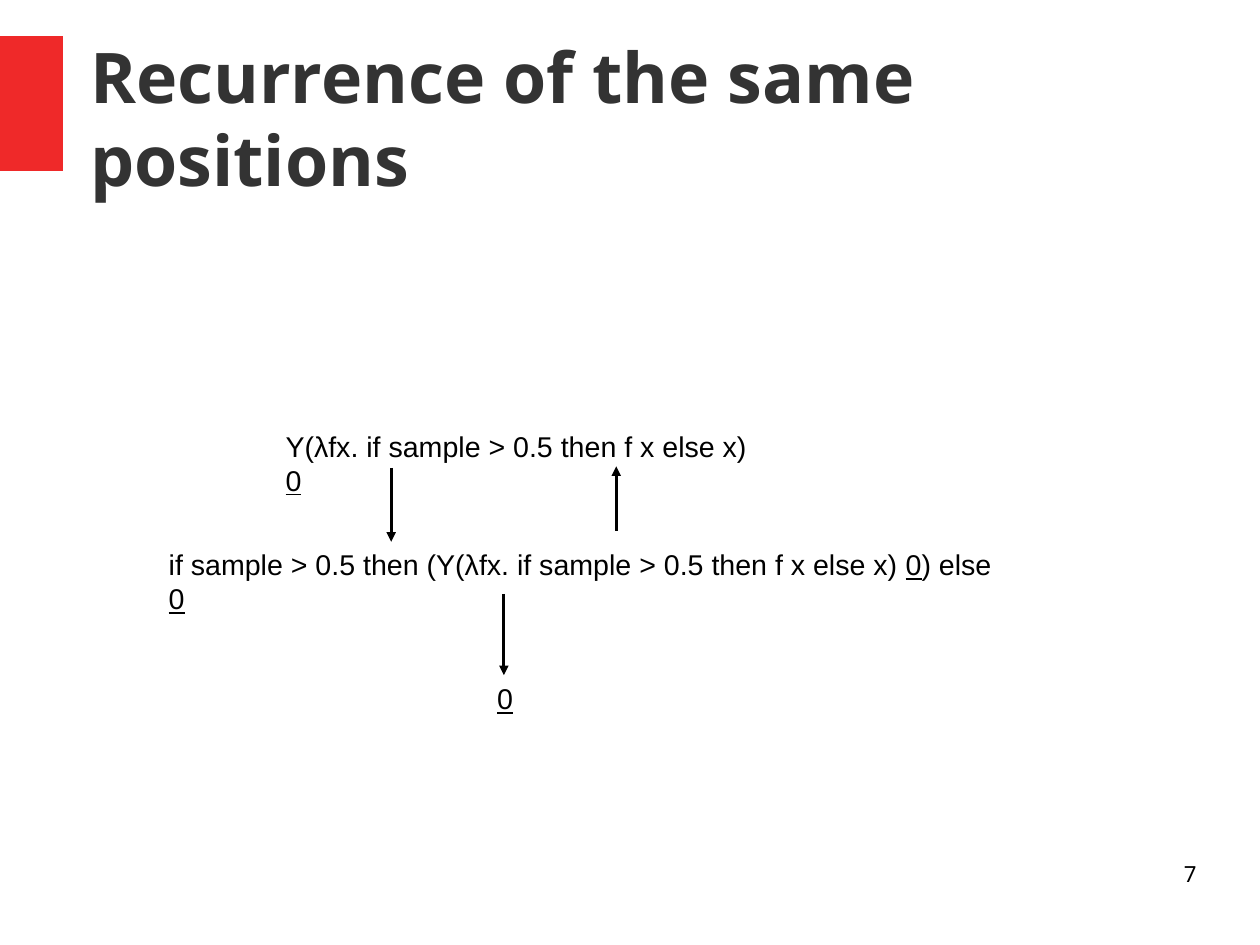
from lxml.etree import SubElement
from pptx import Presentation
from pptx.dml.color import RGBColor
from pptx.enum.shapes import MSO_CONNECTOR as Connector, MSO_SHAPE as Preset
from pptx.enum.text import MSO_ANCHOR as Anchor, MSO_AUTO_SIZE as AutoSize, PP_ALIGN as Align
from pptx.oxml.ns import qn
from pptx.util import Pt

BLACK = "000000"
BODY = "Y(λfx. if sample > 0.5 then f x else x) "


def color(value):
    return RGBColor.from_string(value)


def set_margins(frame, horizontal, vertical):
    frame.margin_left = frame.margin_right = Pt(horizontal)
    frame.margin_top = frame.margin_bottom = Pt(vertical)


def add_run(paragraph, text, size, name, fill=BLACK, bold=False, underline=False):
    run = paragraph.add_run()
    run.text = text
    font = run.font
    font.size, font.name, font.bold = Pt(size), name, bold
    font.underline = underline
    font.color.rgb = color(fill)


def format_title(title, text):
    title.left, title.top, title.width, title.height = Pt(56.7), Pt(13.7), Pt(697), Pt(120)
    frame = title.text_frame
    set_margins(frame, 0, 0)
    frame.word_wrap = True
    frame.auto_size = AutoSize.NONE
    frame.vertical_anchor = Anchor.MIDDLE
    paragraph = frame.paragraphs[0]
    paragraph.alignment = Align.LEFT
    add_run(paragraph, text, 44, "Noto Sans", "333333", bold=True)


def add_accent_bar(slide):
    bar = slide.shapes.add_shape(Preset.RECTANGLE, 0, Pt(22.7), Pt(39.7), Pt(85))
    bar.shadow.inherit = False
    bar.fill.solid()
    bar.fill.fore_color.rgb = color("EF2929")
    bar.line.fill.background()


def add_term(slide, left, top, width, parts):
    """Add a one-line term; every second part is an underlined numeral."""
    box = slide.shapes.add_textbox(Pt(left), Pt(top), Pt(width), Pt(27.4))
    frame = box.text_frame
    set_margins(frame, 7.2, 3.6)
    frame.word_wrap = False
    frame.auto_size = AutoSize.SHAPE_TO_FIT_TEXT
    for index, text in enumerate(parts):
        if text:
            add_run(frame.paragraphs[0], text, 18, "Arial", underline=index % 2 == 1)


def add_arrow(slide, x, start, end):
    arrow = slide.shapes.add_connector(Connector.STRAIGHT, Pt(x), Pt(start), Pt(x), Pt(end))
    arrow.line.color.rgb = color(BLACK)
    arrow.line.width = Pt(0)
    properties = arrow._element.spPr
    SubElement(properties.find(qn("a:ln")), qn("a:tailEnd"), type="triangle")
    SubElement(properties, qn("a:effectLst"))


def add_page_number(slide, number):
    box = slide.shapes.add_textbox(Pt(568.8), Pt(542.2), Pt(185), Pt(41))
    frame = box.text_frame
    set_margins(frame, 0, 0)
    frame.word_wrap = True
    frame.paragraphs[0].alignment = Align.RIGHT
    add_run(frame.paragraphs[0], number, 14, "Noto Sans")


def main():
    presentation = Presentation()
    presentation.slide_width, presentation.slide_height = Pt(793.7), Pt(595.3)
    slide = presentation.slides.add_slide(presentation.slide_layouts[5])

    add_accent_bar(slide)
    format_title(slide.shapes.title, "Recurrence of the same positions")

    add_term(slide, 172.8, 266.4, 319.7, [BODY, "0"])
    add_term(slide, 99.2, 341.1, 547.2,
             ["if sample > 0.5 then (" + BODY, "0", ") else ", "0"])
    add_term(slide, 306, 425.5, 24.4, ["", "0"])

    for x, start, end in [(246.4, 294.7, 341.3), (388.2, 334.5, 293.8), (317.4, 374.2, 425.3)]:
        add_arrow(slide, x, start, end)

    add_page_number(slide, "7")
    presentation.save("out.pptx")


if __name__ == "__main__":
    main()
